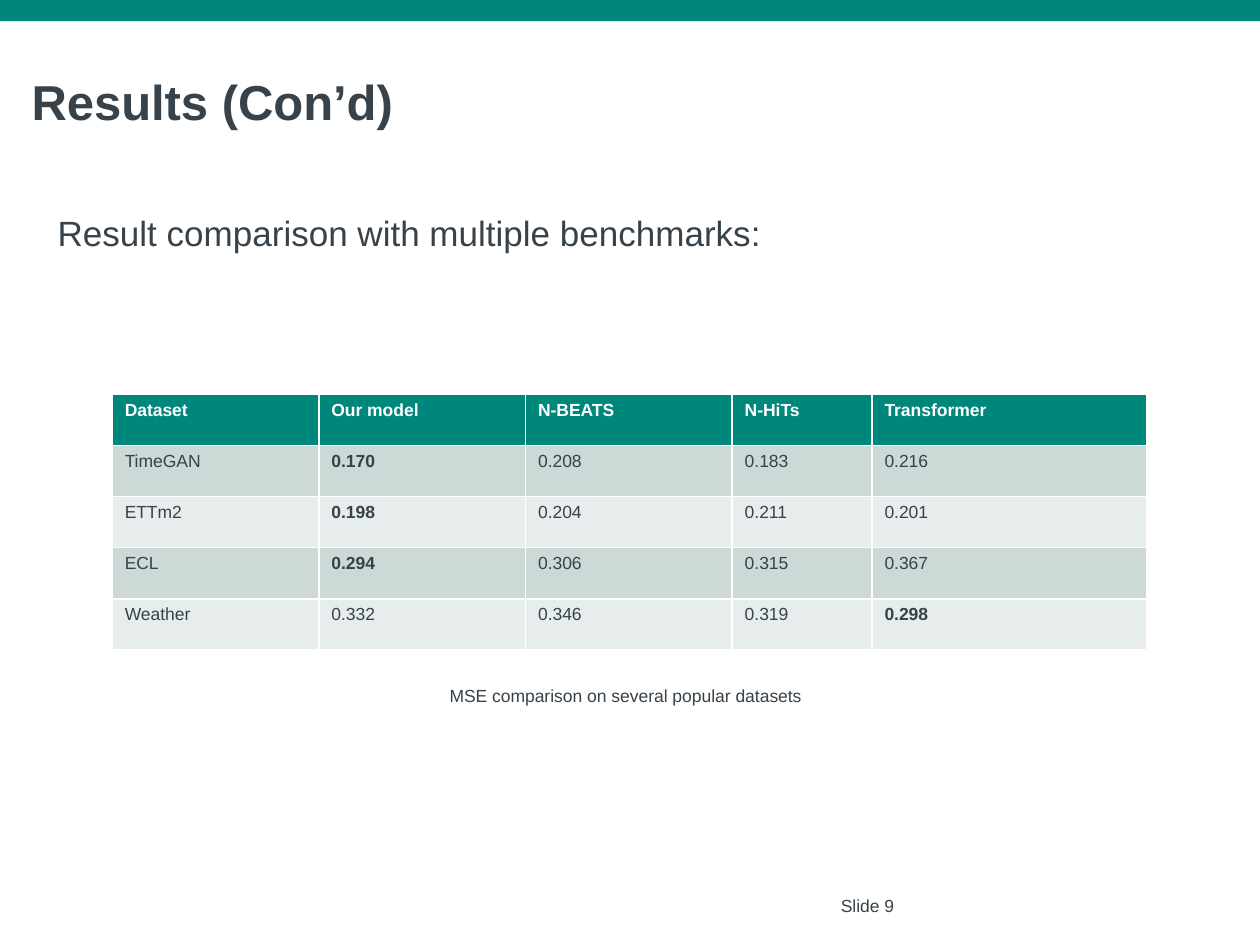
from dataclasses import dataclass

from pptx import Presentation
from pptx import util as u
from pptx.dml.color import RGBColor
from pptx.enum import shapes, text

FONT = "Arial"
COLOURS = {
    "teal": "00877C",
    "ink": "37424A",
    "white": "FFFFFF",
    "band_dark": "CCD9D7",
    "band_light": "E7EDEC",
}


@dataclass
class Label:
    words: str
    left: float
    top: float
    width: float
    height: float
    size: float
    bold: bool = False
    wrap: bool = True
    grow: bool = True
    align: text.PP_ALIGN = text.PP_ALIGN.LEFT


TITLE = Label("Results (Con’d)", 10.8, 37.4, 223.9, 41, 28, bold=True, wrap=False)
LABELS = [
    Label("Slide 9", 411.8, 507.6, 167.8, 15.1, 10, grow=False,
          align=text.PP_ALIGN.CENTER),
    Label("Result comparison with multiple benchmarks:", 25.9, 117.4, 660.2, 31.7, 20),
    Label("MSE comparison on several popular datasets", 249.8, 388.1, 219.6, 19.4, 10,
          wrap=False),
]

HEADERS = ["Dataset", "Our model", "N-BEATS", "N-HiTs", "Transformer"]
ERRORS = {
    "TimeGAN": [0.170, 0.208, 0.183, 0.216],
    "ETTm2": [0.198, 0.204, 0.211, 0.201],
    "ECL": [0.294, 0.306, 0.315, 0.367],
    "Weather": [0.332, 0.346, 0.319, 0.298],
}
TABLE_LEFT, TABLE_TOP, ROW_HEIGHT = 64.1, 225.4, 29.2
COLUMN_WIDTHS = [118.1, 118.1, 118.1, 79.9, 157]


def colour(name: str) -> RGBColor:
    return RGBColor.from_string(COLOURS[name])


def format_runs(paragraph, size: float, bold: bool, ink: str = "ink") -> None:
    for run in paragraph.runs:
        run.font.name = FONT
        run.font.size = u.Pt(size)
        run.font.bold = bold
        run.font.color.rgb = colour(ink)


def fill_label(shape, label: Label) -> None:
    shape.left, shape.top = u.Pt(label.left), u.Pt(label.top)
    shape.width, shape.height = u.Pt(label.width), u.Pt(label.height)
    frame = shape.text_frame
    frame.text = label.words
    frame.word_wrap = label.wrap
    frame.vertical_anchor = text.MSO_ANCHOR.TOP
    frame.auto_size = (text.MSO_AUTO_SIZE.SHAPE_TO_FIT_TEXT if label.grow
                       else text.MSO_AUTO_SIZE.NONE)
    paragraph = frame.paragraphs[0]
    paragraph.alignment = label.align
    format_runs(paragraph, label.size, label.bold)


def fill_cell(cell, words: str, fill: str, ink: str, bold: bool) -> None:
    cell.text_frame.text = words
    cell.fill.solid()
    cell.fill.fore_color.rgb = colour(fill)
    format_runs(cell.text_frame.paragraphs[0], 10, bold, ink)


def add_results(slide) -> None:
    row_count = len(ERRORS) + 1
    # The default table style supplies the white rules
    table = slide.shapes.add_table(
        row_count, len(HEADERS), u.Pt(TABLE_LEFT), u.Pt(TABLE_TOP),
        u.Pt(sum(COLUMN_WIDTHS)), u.Pt(ROW_HEIGHT * row_count)).table
    for column, width in zip(table.columns, COLUMN_WIDTHS):
        column.width = u.Pt(width)
    for index, header in enumerate(HEADERS):
        fill_cell(table.cell(0, index), header, "teal", "white", True)
    # The lowest error in each row is bold
    for row, (dataset, errors) in enumerate(ERRORS.items(), start=1):
        band = "band_dark" if row % 2 else "band_light"
        fill_cell(table.cell(row, 0), dataset, band, "ink", False)
        for index, error in enumerate(errors, start=1):
            fill_cell(table.cell(row, index), f"{error:.3f}", band, "ink",
                      error == min(errors))


def main() -> None:
    presentation = Presentation()
    presentation.slide_width, presentation.slide_height = u.Pt(720), u.Pt(540)
    slide = presentation.slides.add_slide(presentation.slide_layouts[5])

    # Top bar
    bar = slide.shapes.add_shape(shapes.MSO_SHAPE.RECTANGLE, 0, 0, u.Pt(720), u.Pt(12.2))
    bar.shadow.inherit = False
    bar.fill.solid()
    bar.fill.fore_color.rgb = colour("teal")
    bar.line.fill.background()

    # Title, texts and table
    fill_label(slide.shapes.title, TITLE)
    for label in LABELS:
        fill_label(slide.shapes.add_textbox(0, 0, 0, 0), label)
    add_results(slide)

    presentation.save("out.pptx")


if __name__ == "__main__":
    main()
